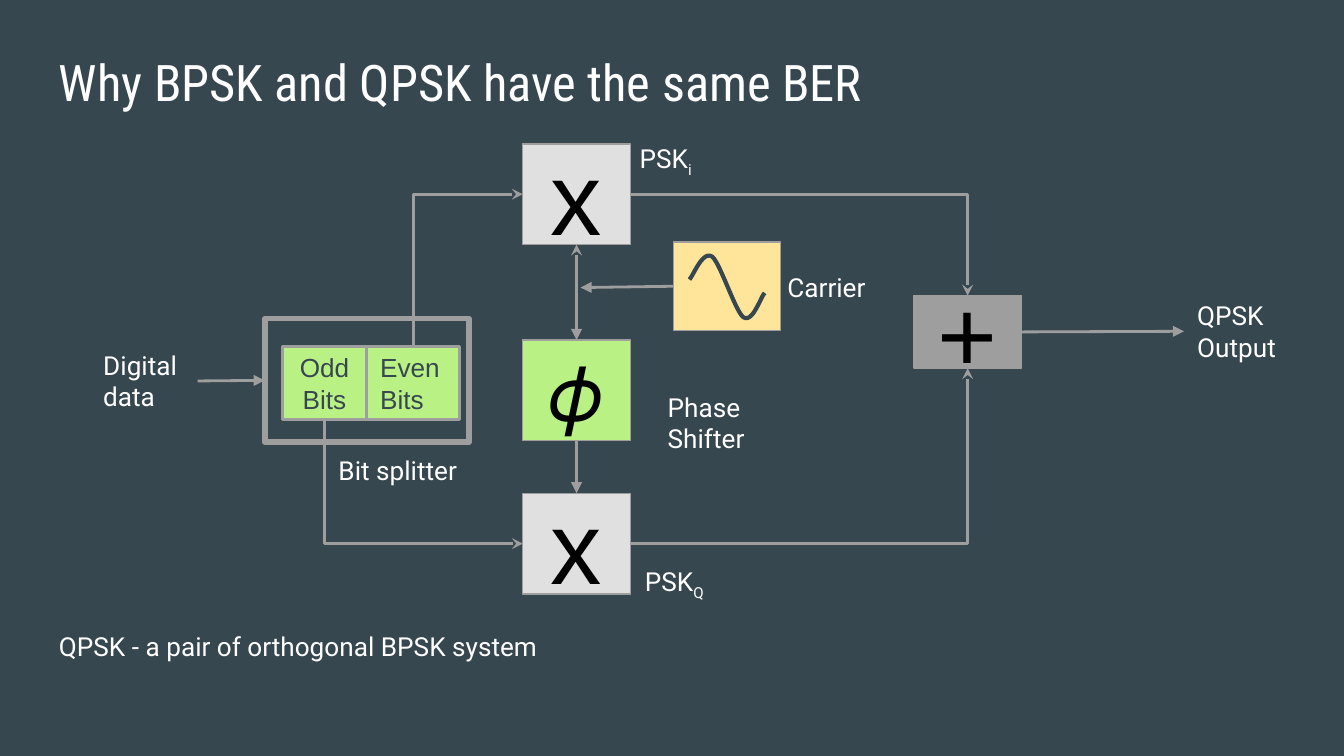
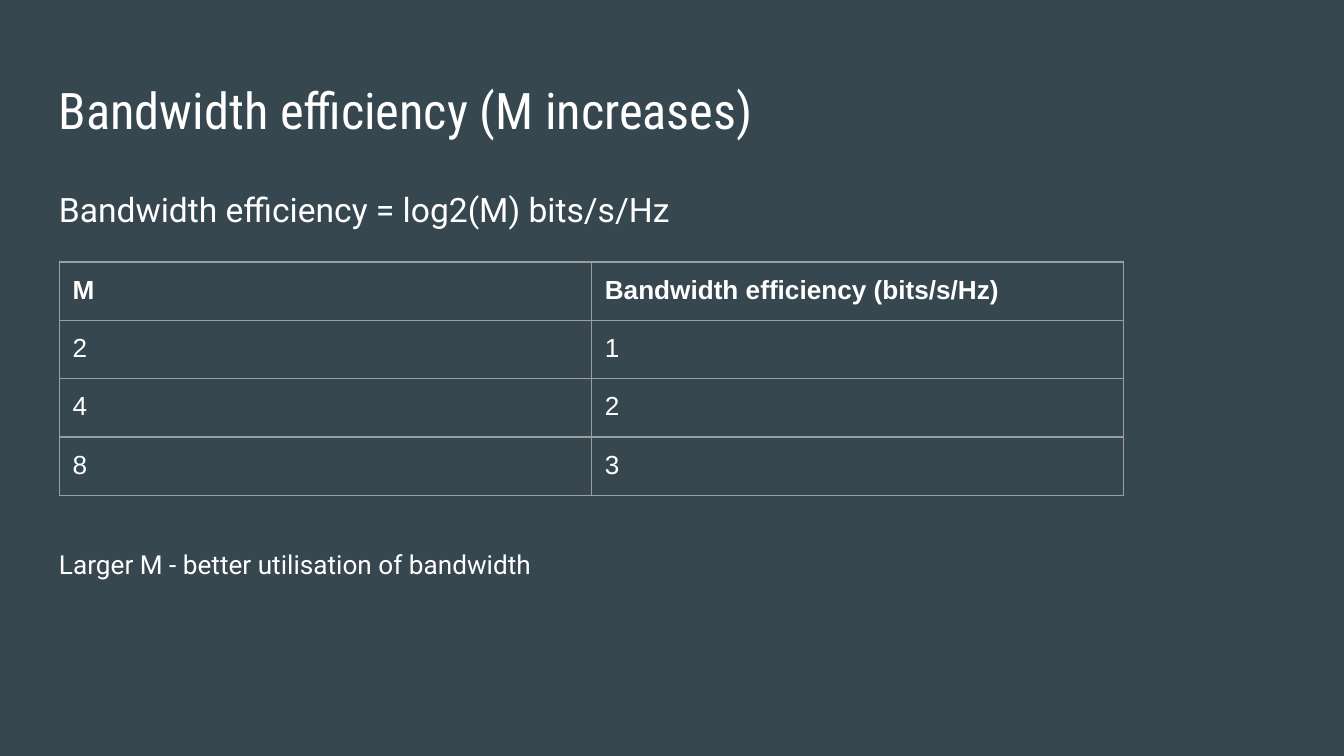
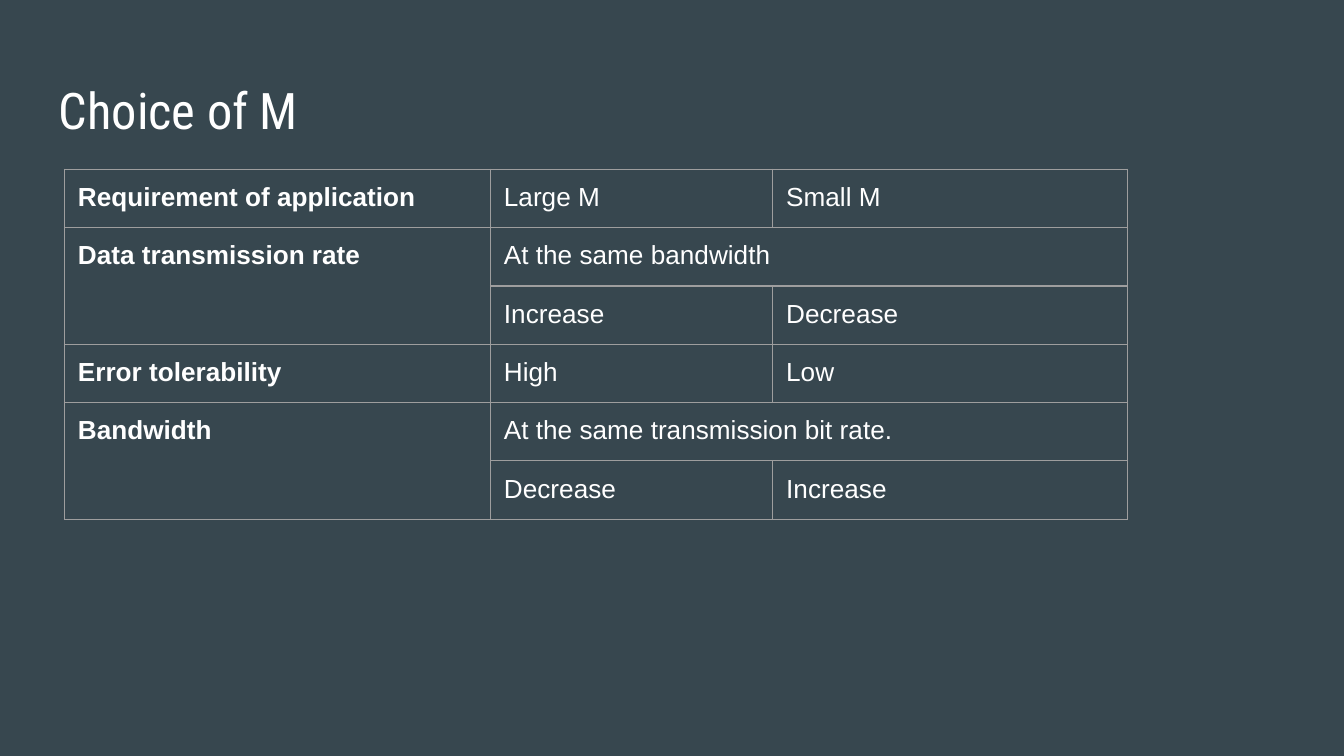
import pptx
import pptx.dml.color
import pptx.enum.shapes
import pptx.enum.text
import pptx.oxml.ns
import pptx.util
from lxml import etree

Inches = pptx.util.Inches
Pt = pptx.util.Pt
qn = pptx.oxml.ns.qn
KIND = pptx.enum.shapes.MSO_CONNECTOR
ALIGN = pptx.enum.text.PP_ALIGN
ANCHOR = pptx.enum.text.MSO_ANCHOR
FIT = pptx.enum.text.MSO_AUTO_SIZE

SLATE, WHITE, BLACK = "37474F", "FFFFFF", "000000"
GREY, PALE, GREEN, CREAM = "9E9E9E", "E0E0E0", "BAF185", "FFE599"
HEAD, BODY, PLAIN = "Roboto Condensed", "Roboto", "Arial"
TOP, LEFT, BOTTOM, RIGHT = range(4)
EDGE = 0.34


def paint(color, code):
    """Give a colour format the hex colour."""
    color.rgb = pptx.dml.color.RGBColor.from_string(code)


def write(frame, text, size, font, code=WHITE, align=None, bold=None, sub=None):
    """Fill a text frame, with an optional subscript after the text."""
    frame.text = text
    if sub:
        low = frame.paragraphs[-1].add_run()
        low.text = sub
        low.font._element.set("baseline", "-25000")
    for para in frame.paragraphs:
        para.alignment = align
        for run in para.runs:
            run.font.size = Pt(size)
            run.font.name = font
            run.font.bold = bold
            paint(run.font.color, code)


def inset(item):
    """Set equal margins on a text frame or a cell."""
    item.margin_left = item.margin_right = Inches(0.1)
    item.margin_top = item.margin_bottom = Inches(0.1)


def label(slide, box, text, size=14, font=BODY, align=None, sub=None, grow=True):
    """Add a wrapped text box."""
    shape = slide.shapes.add_textbox(*map(Inches, box))
    frame = shape.text_frame
    frame.word_wrap = True
    inset(frame)
    write(frame, text, size, font, align=align, sub=sub)
    if grow:
        frame.auto_size = FIT.SHAPE_TO_FIT_TEXT
    return shape


def block(slide, box, fill=None, text="", size=14, code=BLACK, width=0.75,
          align=ALIGN.CENTER):
    """Add an outlined rectangle with centred text."""
    shape = slide.shapes.add_shape(
        pptx.enum.shapes.MSO_SHAPE.RECTANGLE, *map(Inches, box))
    shape.shadow.inherit = False
    if fill:
        shape.fill.solid()
        paint(shape.fill.fore_color, fill)
    else:
        shape.fill.background()
    paint(shape.line.color, GREY)
    shape.line.width = Pt(width)
    frame = shape.text_frame
    frame.word_wrap = True
    frame.vertical_anchor = ANCHOR.MIDDLE
    inset(frame)
    if text:
        write(frame, text, size, PLAIN, code, align)
    return shape


def spot(shape, side):
    """Return the middle of one side of a shape."""
    x = {LEFT: 0, RIGHT: shape.width}.get(side, shape.width // 2)
    y = {TOP: 0, BOTTOM: shape.height}.get(side, shape.height // 2)
    return shape.left + x, shape.top + y


def arrow(slide, start, end, kind=KIND.STRAIGHT, head=None, tail="triangle"):
    """Add a line from a shape's side to another side or to a point."""
    joined = not isinstance(end[0], int)
    goal = spot(*end) if joined else end
    link = slide.shapes.add_connector(kind, *spot(*start), *goal)
    link.begin_connect(*start)
    if joined:
        link.end_connect(*end)
    paint(link.line.color, GREY)
    link.line.width = Pt(1.5)
    props = link._element.spPr
    line = props.find(qn("a:ln"))
    for tag, shape in (("a:headEnd", head), ("a:tailEnd", tail)):
        if shape:
            etree.SubElement(line, qn(tag)).set("type", shape)
    etree.SubElement(props, qn("a:effectLst"))
    return link


def elbow(slide, start, end):
    """Add an arrow with one right-angled bend."""
    link = arrow(slide, start, end, KIND.ELBOW, tail="stealth")
    props = link._element.spPr
    props.find(qn("a:prstGeom")).set("prst", "bentConnector2")
    if start[1] in (TOP, BOTTOM):
        wide, high = link.width, link.height
        link.left += (wide - high) // 2
        link.top += (high - wide) // 2
        link.width, link.height = high, wide
        form = props.find(qn("a:xfrm"))
        form.attrib.pop("flipV", None)
        form.set("rot", "16200000")
        if start[1] == BOTTOM:
            form.set("flipH", "1")


def wave(slide, box):
    """Draw one period of a smooth wave inside a block."""
    knots = [(0.12, 0.28), (0.15, 0.25), (0.22, 0.06), (0.29, 0.11),
             (0.35, 0.16), (0.46, 0.51), (0.52, 0.56),
             (0.59, 0.61), (0.65, 0.41), (0.68, 0.38)]
    steps = 12
    dots = [knots[0]]
    for first in range(0, 9, 3):
        for step in range(1, steps + 1):
            t = step / steps
            parts = ((1 - t) ** 3, 3 * t * (1 - t) ** 2, 3 * t * t * (1 - t), t ** 3)
            dots.append([sum(part * knot[axis] for part, knot
                             in zip(parts, knots[first:first + 4])) for axis in (0, 1)])
    dots = [(box.left + Inches(x), box.top + Inches(y)) for x, y in dots]
    pen = slide.shapes.build_freeform(*dots[0])
    pen.add_line_segments(dots[1:], close=False)
    curve = pen.convert_to_shape()
    curve.shadow.inherit = False
    curve.fill.background()
    paint(curve.line.color, SLATE)
    curve.line.width = Pt(2.25)


def scheme(slide, left, top):
    """Draw the modulator diagram from the given corner."""
    def at(x, y, wide=0.8, high=0.75):
        return left + x, top + y, wide, high

    def note(x, y, wide, text, high=0.44, **more):
        return label(slide, at(x, y, wide, high), text, **more)

    mid = 3.39
    adder = block(slide, at(6.3, 1.3, high=0.54), GREY, "+", 55)
    upper, lower = [block(slide, at(mid, y), PALE, "x", 55) for y in (0.17, 2.77)]
    phase = block(slide, at(mid, 1.63), GREEN, "𝜙", 41)
    source = block(slide, at(4.51, 0.9, high=0.66), CREAM)
    wave(slide, source)
    split = block(slide, at(1.47, 1.47, 1.52, 0.92), width=3)
    odd = block(slide, at(1.6, 1.68, 0.63, 0.54), GREEN, "Odd Bits",
                code=SLATE, width=1.5)
    even = block(slide, at(2.23, 1.68, 0.69, 0.54), GREEN, "Even Bits",
                 code=SLATE, width=1.5, align=None)

    data = note(0.17, 1.6, 0.8, "Digital\ndata", 0.67)
    output = note(8.31, 1.23, 0.94, "QPSK Output", 0.67)
    note(4.37, 1.91, 1.27, "Phase Shifter", 0.67)
    note(5.25, 1.02, 0.8, "Carrier", align=ALIGN.CENTER)
    note(4.16, 0.06, 0.69, "PSK", sub="i")
    note(4.2, 3.21, 1.27, "PSK", sub="Q")
    note(1.92, 2.38, 1.11, "Bit splitter")

    arrow(slide, (data, RIGHT), (split, LEFT))
    arrow(slide, (adder, RIGHT), (output, LEFT))
    arrow(slide, (phase, BOTTOM), (lower, TOP))
    arrow(slide, (upper, BOTTOM), (phase, TOP), head="stealth")
    arrow(slide, (source, LEFT), (Inches(left + 3.82), Inches(top + 1.24)))
    elbow(slide, (even, TOP), (upper, LEFT))
    elbow(slide, (odd, BOTTOM), (lower, LEFT))
    elbow(slide, (upper, RIGHT), (adder, TOP))
    elbow(slide, (lower, RIGHT), (adder, BOTTOM))


def border(cell):
    """Draw thin lines on the four sides of a cell."""
    props = cell._tc.get_or_add_tcPr()
    for place, tag in enumerate(("a:lnL", "a:lnR", "a:lnT", "a:lnB")):
        line = etree.Element(qn(tag), w=str(Pt(0.75)))
        fill = etree.SubElement(line, qn("a:solidFill"))
        etree.SubElement(fill, qn("a:srgbClr")).set("val", GREY)
        props.insert(place, line)


def grid(slide, left, top, cols, rows, bold, spans=()):
    """Add a bordered table; bold tells which cells are headings."""
    side = Inches(3.28)
    holder = slide.shapes.add_table(
        len(rows), len(cols), Inches(left), Inches(top), side, side)
    table = holder.table
    table.first_row = table.horz_banding = False
    for col, wide in zip(table.columns, cols):
        col.width = Inches(wide)
    for r, row in enumerate(rows):
        table.rows[r].height = Inches(0.42)
        for c, text in enumerate(row):
            cell = table.cell(r, c)
            cell.fill.background()
            inset(cell)
            border(cell)
            if text:
                write(cell.text_frame, text, 14, PLAIN, bold=bold(r, c))
    for first, last in spans:
        table.cell(*first).merge(table.cell(*last))
    holder.width = holder.height = side


def page(deck, title, top=0.49):
    """Add a slide with its title."""
    slide = deck.slides.add_slide(deck.slide_layouts[6])
    label(slide, (EDGE, top, 9.32, 0.63), title, 27, HEAD, grow=False)
    return slide


def remark(slide, top, text):
    """Add the closing line of a slide."""
    label(slide, (EDGE, top, 8.02, 0.44), text)


def main():
    """Build and save the deck."""
    deck = pptx.Presentation()
    deck.slide_width = Inches(10)
    deck.slide_height = deck.slide_width * 9 // 16
    back = deck.slide_master.background.fill
    back.solid()
    paint(back.fore_color, SLATE)

    slide = page(deck, "Why BPSK and QPSK have the same BER", 0.28)
    remark(slide, 4.59, "QPSK - a pair of orthogonal BPSK system")
    scheme(slide, 0.5, 0.9)

    slide = page(deck, "Bandwidth efficiency (M increases)")
    body = label(slide, (EDGE, 1.26, 9.32, 3.74),
                 "Bandwidth efficiency = log2(M) bits/s/Hz", 18, grow=False)
    body.text_frame.paragraphs[0].line_spacing = 1.15
    grid(slide, 0.44, 1.95, (3.96, 3.96),
         [("M", "Bandwidth efficiency (bits/s/Hz)"),
          ("2", "1"), ("4", "2"), ("8", "3")], lambda r, c: r == 0)
    remark(slide, 3.98, "Larger M - better utilisation of bandwidth")

    slide = page(deck, "Choice of M")
    grid(slide, 0.48, 1.26, (3.17, 2.1, 2.64),
         [("Requirement of application", "Large M", "Small M"),
          ("Data transmission rate", "At the same bandwidth", ""),
          ("", "Increase", "Decrease"),
          ("Error tolerability", "High", "Low"),
          ("Bandwidth", "At the same transmission bit rate.", ""),
          ("", "Decrease", "Increase")], lambda r, c: c == 0,
         [((r, c), end) for r in (1, 4)
          for c, end in ((0, (r + 1, 0)), (1, (r, 2)))])

    deck.save("out.pptx")


if __name__ == "__main__":
    main()
